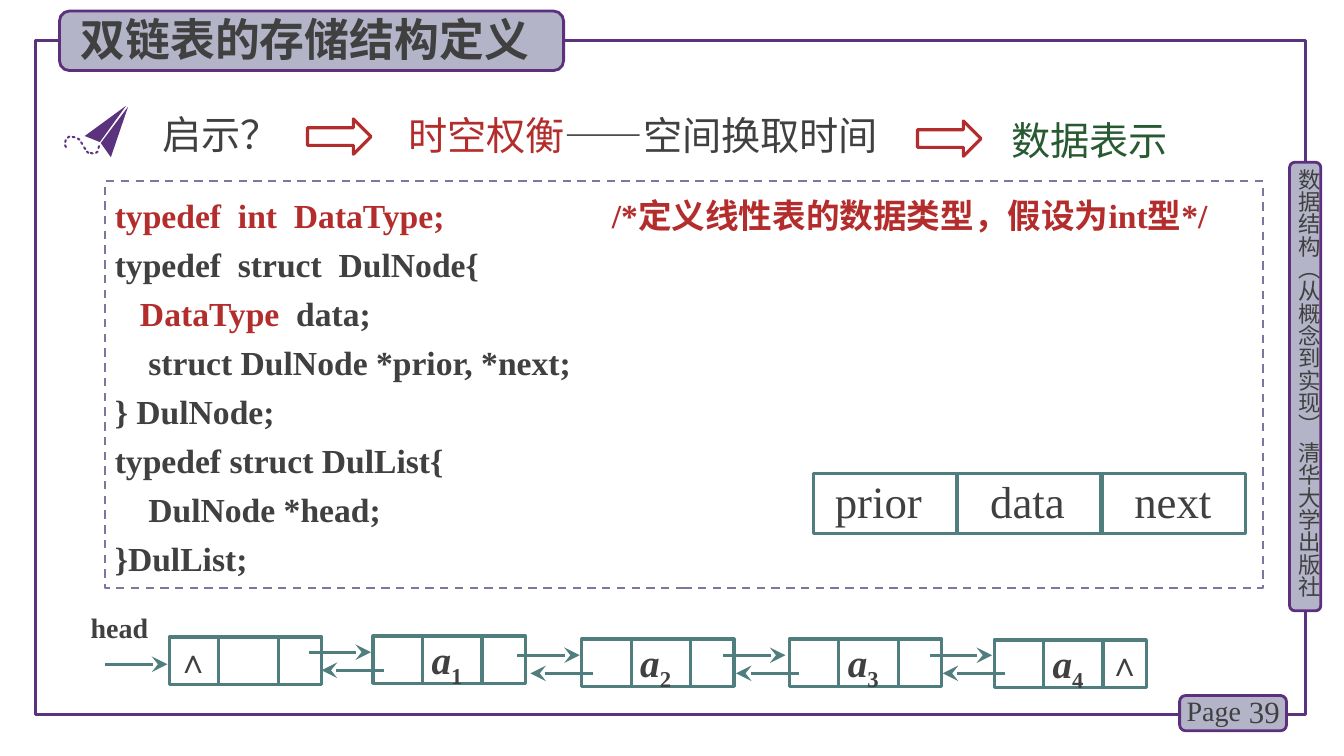
from math import cos, sin, radians
from lxml.etree import SubElement
from pptx import Presentation
from pptx.dml.color import RGBColor
from pptx.enum.dml import MSO_LINE as Dash
from pptx.enum.shapes import MSO_SHAPE as Kind, MSO_CONNECTOR as Wire
from pptx.enum.text import MSO_ANCHOR as Anchor, MSO_AUTO_SIZE as Auto, PP_ALIGN as Align
from pptx.oxml.ns import qn
from pptx.util import Inches, Pt

INK, RED, GREEN = "404040", "B42D2D", "285A32"
TEAL, PLUM, EDGE, LILAC = "507D7D", "5A327D", "5C307D", "B4B4C8"
HAN, ROMAN = "Noto Sans CJK SC", "Times New Roman"


def hue(code):
    return RGBColor.from_string(code)


class Board:
    """Holds the text style and the current slide."""

    def __init__(self, slide):
        self.slide = slide
        self.shapes = slide.shapes
        self.base = {"name": ROMAN, "size": 20, "color": INK}

    def piece(self, para, text, style):
        run = para.add_run()
        run.text = text
        look = {**self.base, **style}
        run.font.color.rgb = hue(look.pop("color"))
        look["size"] = Pt(look["size"])
        drop = look.pop("baseline", None)
        for key, val in look.items():
            setattr(run.font, key, val)
        props = run.font._element
        if drop:
            props.set("baseline", str(drop))
        SubElement(props, qn("a:ea")).set("typeface", HAN)

    def label(self, shape, lines, style, pad=(0.1, 0.05, 0.1, 0.05),
              anchor=Anchor.TOP, align=Align.LEFT, gap=None, tab=None):
        """Each line is a string or a list of (text, style) runs."""
        frame = shape.text_frame
        form = {"word_wrap": True, "auto_size": Auto.NONE, "vertical_anchor": anchor}
        sides = ("left", "top", "right", "bottom")
        form.update({f"margin_{s}": Inches(p) for s, p in zip(sides, pad)})
        for key, val in form.items():
            setattr(frame, key, val)
        for i, line in enumerate(lines):
            para = frame.add_paragraph() if i else frame.paragraphs[0]
            if tab and i == 0:
                stops = SubElement(para._p.get_or_add_pPr(), qn("a:tabLst"))
                stop = SubElement(stops, qn("a:tab"))
                stop.set("pos", str(Inches(tab)))
                stop.set("algn", "l")
            para.alignment = align
            if gap:
                para.line_spacing = gap
            for text, extra in [(line, {})] if isinstance(line, str) else line:
                self.piece(para, text, {**style, **extra})

    def text(self, x, y, w, h, lines, style, **form):
        box = self.shapes.add_textbox(*map(Inches, (x, y, w, h)))
        self.label(box, lines, style, **form)
        return box

    def paint(self, shape, fill, line, width):
        shape.shadow.inherit = False
        if fill:
            shape.fill.solid()
            shape.fill.fore_color.rgb = hue(fill)
        else:
            shape.fill.background()
        if line:
            shape.line.color.rgb = hue(line)
            shape.line.width = Pt(width)
        else:
            shape.line.fill.background()

    def shape(self, x, y, w, h, kind=Kind.RECTANGLE, fill=None, line=TEAL, width=2.25):
        item = self.shapes.add_shape(kind, *map(Inches, (x, y, w, h)))
        self.paint(item, fill, line, width)
        return item

    def badge(self, x, y, w, h):
        self.shape(x, y, w, h, Kind.ROUNDED_RECTANGLE, LILAC, EDGE, 2)

    def wire(self, x, y, dx, dy, end=None):
        item = self.shapes.add_connector(
            Wire.STRAIGHT, *map(Inches, (x, y, x + dx, y + dy)))
        item.line.color.rgb = hue(TEAL)
        item.line.width = Pt(2.25)
        if end:
            tip = SubElement(item.line._get_or_add_ln(), qn(f"a:{end}"))
            for key, val in {"type": "stealth", "w": "lg", "len": "lg"}.items():
                tip.set(key, val)
        SubElement(item._element.spPr, qn("a:effectLst"))

    def poly(self, points):
        spots = [(Inches(x), Inches(y)) for x, y in points]
        form = self.shapes.build_freeform(*spots[0])
        form.add_line_segments(spots[1:], close=True)
        self.paint(form.convert_to_shape(), PLUM, None, 0)

    def title(self, x, y, w, h, text, style):
        item = self.shapes.title
        tree = item.element.getparent()
        tree.append(item.element)
        place = dict(zip(("left", "top", "width", "height"), (x, y, w, h)))
        for key, val in place.items():
            setattr(item, key, Inches(val))
        self.label(item, [text], style)


def main():
    deck = Presentation()
    deck.slide_width, deck.slide_height = Inches(13.33), Inches(7.5)
    board = Board(deck.slides.add_slide(deck.slide_layouts[5]))
    bold = {"bold": True}
    song = {"name": HAN, "size": 28}

    # Frame, side label and page number
    board.shape(0.35, 0.4, 12.6, 6.69, line=PLUM)
    board.badge(12.79, 1.61, 0.31, 4.45)
    side = board.text(12.85, 1.67, 0.27, 4.49, ["数据结构（从概念到实现） 清华大学出版社"],
                      {"name": HAN, "size": 16}, pad=(0, 0, 0, 0))
    side.element.txBody.bodyPr.set("vert", "eaVert")
    board.badge(11.7, 6.9, 1.06, 0.35)
    board.text(12.2, 6.86, 0.59, 0.4, ["39"], {"size": 22},
               anchor=Anchor.MIDDLE, align=Align.RIGHT)
    board.text(11.67, 6.83, 0.78, 0.44, ["Page"], {})

    # Title
    board.badge(0.59, 0.11, 5, 0.59)
    board.title(0.7, 0.07, 4.82, 0.64, "双链表的存储结构定义",
                {"name": HAN, "size": 32, "bold": True})

    # Linked list: cells, then links between them
    nodes = [(1.68, 6.32, ""), (3.7, 6.31, "1"), (5.77, 6.34, "2"),
             (7.83, 6.34, "3"), (9.86, 6.35, "4")]
    for x, y, mark in nodes:
        cell = board.shape(x, y, 1.51, 0.47)
        if mark:
            runs = [("a", {"italic": True}), (mark, {"baseline": -25000})]
            board.label(cell, [runs], {"size": 28, "bold": True},
                        pad=(0.58, 0, 0.1, 0.09), gap=0.9)
        for dx in (0.49, 1.08):
            board.wire(x + dx, y, 0, 0.47)
    for x, y in [(3.06, 6.47), (5.13, 6.5), (7.17, 6.5), (9.22, 6.5)]:
        board.wire(x, y, 0.62, 0, "tailEnd")
        board.wire(x + 0.13, y + 0.18, 0.62, 0, "headEnd")
    board.wire(1.04, 6.59, 0.62, 0, "tailEnd")
    board.text(0.8, 6.01, 1.19, 0.44, ["head"], bold)
    for x, y in [(1.65, 6.3), (10.89, 6.33)]:
        board.text(x, y, 0.49, 0.5, ["∧"], {"size": 24, "bold": True})

    # Node layout
    for i, (name, inset) in enumerate([("prior", 0.21), ("data", 0.32), ("next", 0.32)]):
        cell = board.shape(8.07 + 1.43 * i, 4.7, 1.42, 0.59)
        board.label(cell, [name], {"size": 32}, pad=(inset, 0, 0, 0.05))

    # Paper plane with its dotted trail
    board.poly([(1.27, 1.06), (1.1, 1.56), (1, 1.42)])
    board.poly([(1.25, 1.05), (0.99, 1.41), (0.84, 1.35)])
    trail = [(0.98, 1.46, 105), (0.96, 1.51, 145), (0.91, 1.52, 15), (0.87, 1.51, 40),
             (0.84, 1.47, 55), (0.81, 1.42, 60), (0.78, 1.38, 35), (0.73, 1.36, 10),
             (0.68, 1.36, 145), (0.65, 1.45, 70), (0.65, 1.4, 105)]
    for x, y, turn in trail:
        c, s = cos(radians(turn)), sin(radians(turn))
        rim = [(-0.02, 0), (-0.01, -0.01), (0.01, -0.01),
               (0.02, 0), (0.01, 0.01), (-0.01, 0.01)]
        board.poly([(x + u * c - v * s, y + u * s + v * c) for u, v in rim])

    # Insight line
    board.text(1.51, 1.05, 1.56, 0.57, ["启示？"], song)
    board.text(3.95, 1.06, 5.02, 0.57,
               [[("时空权衡", {"color": RED}), ("——空间换取时间", {})]], song)
    board.text(9.93, 1.1, 1.79, 0.57, ["数据表示"], {**song, "color": GREEN})
    for x, y in [(3.05, 1.18), (9.1, 1.2)]:
        board.shape(x, y, 0.63, 0.35, Kind.RIGHT_ARROW, line=RED)

    # Code
    code = board.shape(1.04, 1.8, 11.49, 4.03, line="7878A0", width=1.5)
    code.line.dash_style = Dash.DASH
    red = {"color": RED}
    board.label(code, [
        [("typedef  int  DataType;\t/*定义线性表的数据类型，假设为int型*/", red)],
        "typedef  struct  DulNode{",
        [("   DataType", red), ("  data;", {})],
        "    struct DulNode *prior, *next;",
        "} DulNode;",
        "typedef struct DulList{",
        "    DulNode *head;",
        "}DulList;",
    ], {"size": 24, "bold": True}, gap=Pt(35), tab=4.93)

    deck.save("out.pptx")


if __name__ == "__main__":
    main()
